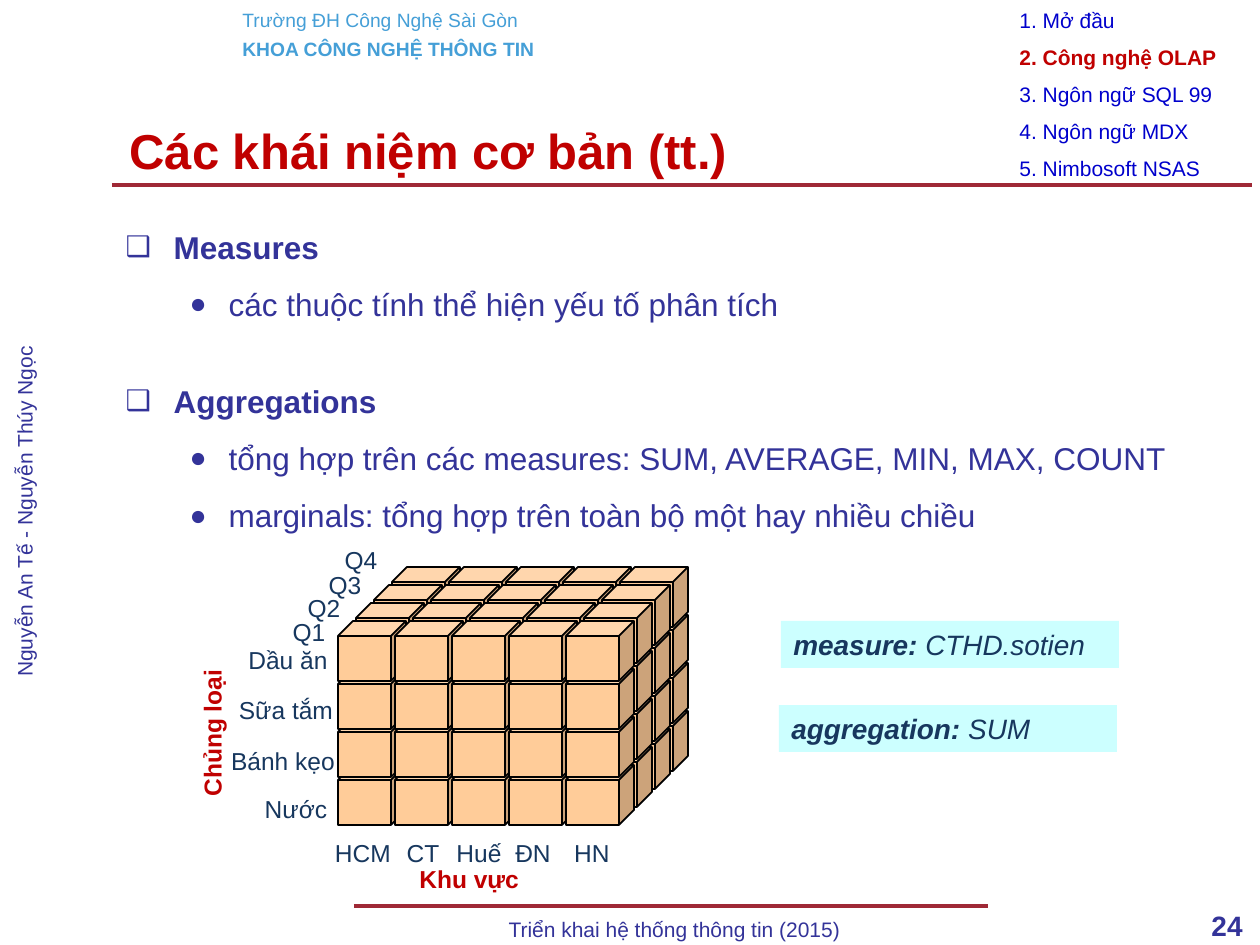
from dataclasses import dataclass

import lxml.etree
import pptx
import pptx.dml.color
import pptx.enum.shapes
import pptx.enum.text
import pptx.oxml.ns
import pptx.util

Align = pptx.enum.text.PP_ALIGN
Shape = pptx.enum.shapes.MSO_SHAPE
qn = pptx.oxml.ns.qn
EMU_PER_PX = 914400 // 126


@dataclass(frozen=True)
class Theme:
    font: str = "Arial"
    rule: str = "9F2936"
    school: str = "459FD7"
    body: str = "333399"
    accent: str = "C00000"
    agenda: str = "0000CC"
    label: str = "17375E"
    note: str = "CCFFFF"
    cube: str = "FFCC99"
    edge: str = "000000"
    header_size: int = 11
    small_size: int = 12
    label_size: int = 14
    note_size: int = 16
    body_size: int = 18
    title_size: int = 28


THEME = Theme()


@dataclass(frozen=True)
class Span:
    text: str
    size: int
    color: str
    bold: bool = False
    italic: bool = False


@dataclass(frozen=True)
class Box:
    left: int
    top: int
    width: int
    height: int

    def emu(self) -> tuple:
        return tuple(px(v) for v in (self.left, self.top, self.width, self.height))


def px(value: int) -> int:
    return pptx.util.Emu(value * EMU_PER_PX)


def rgb(code: str):
    return pptx.dml.color.RGBColor.from_string(code)


def set_all(target, values: dict) -> None:
    for name, value in values.items():
        setattr(target, name, value)


def write(para, spans: list, **layout) -> None:
    set_all(para, layout)
    for span in spans:
        run = para.add_run()
        run.text = span.text
        set_all(run.font, {"name": THEME.font, "size": pptx.util.Pt(span.size),
                           "bold": span.bold, "italic": span.italic})
        run.font.color.rgb = rgb(span.color)


def add_text(page, box: Box, *spans: Span, align=Align.LEFT, wrap=True, turn=0):
    shape = page.shapes.add_textbox(*box.emu())
    shape.rotation = turn
    shape.text_frame.word_wrap = wrap
    write(shape.text_frame.paragraphs[0], spans, alignment=align)
    return shape


def add_rule(page, left: int, right: int, y: int) -> None:
    line = page.shapes.add_connector(pptx.enum.shapes.MSO_CONNECTOR.STRAIGHT,
                                     px(left), px(y), px(right), px(y))
    line.line.color.rgb = rgb(THEME.rule)
    line.line.width = pptx.util.Pt(2)
    lxml.etree.SubElement(line._element.spPr, qn("a:effectLst"))


def add_solid(page, kind, box: Box, fill: str):
    shape = page.shapes.add_shape(kind, *box.emu())
    shape.shadow.inherit = False
    shape.fill.solid()
    shape.fill.fore_color.rgb = rgb(fill)
    shape.line.fill.background()
    return shape


def add_cube(page, box: Box) -> None:
    cube = add_solid(page, Shape.CUBE, box, THEME.cube)
    cube.line.color.rgb = rgb(THEME.edge)
    cube.line.width = pptx.util.Pt(1)


def add_note(page, box: Box, name: str, value: str) -> None:
    frame = add_solid(page, Shape.RECTANGLE, box, THEME.note).text_frame
    frame.word_wrap = True
    write(frame.paragraphs[0],
          [Span(name, THEME.note_size, THEME.label, True, True),
           Span(value, THEME.note_size, THEME.label, False, True)],
          alignment=Align.LEFT)


def set_bullet(para, char: str, margin: int, hang: int) -> None:
    props = para._p.get_or_add_pPr()
    props.set("marL", str(px(margin)))
    props.set("indent", str(-px(hang)))
    color = lxml.etree.SubElement(props, qn("a:buClr"))
    lxml.etree.SubElement(color, qn("a:srgbClr"), val=THEME.body)
    lxml.etree.SubElement(props, qn("a:buSzPct"), val="90000")
    lxml.etree.SubElement(props, qn("a:buFont"), typeface=THEME.font)
    lxml.etree.SubElement(props, qn("a:buChar"), char=char)


def place(holder, box: Box, anchor):
    set_all(holder, dict(zip(("left", "top", "width", "height"), box.emu())))
    set_all(holder.text_frame, {"vertical_anchor": anchor, "word_wrap": True,
                                "auto_size": pptx.enum.text.MSO_AUTO_SIZE.NONE})
    return holder.text_frame


def add_frame(page) -> None:
    """Rules, header, author, footer and page number."""
    add_rule(page, 354, 988, 906)
    add_rule(page, 112, 1252, 185)
    header = add_text(page, Box(230, 2, 353, 66),
                      Span("Trường ĐH Công Nghệ Sài Gòn", THEME.header_size, THEME.school))
    write(header.text_frame.add_paragraph(),
          [Span("KHOA CÔNG NGHỆ THÔNG TIN", THEME.header_size, THEME.school, True)],
          space_before=pptx.util.Pt(3.4))
    add_text(page, Box(-142, 480, 358, 63),
             Span("Nguyễn An Tế - Nguyễn Thúy Ngọc", THEME.small_size, THEME.body),
             align=Align.CENTER, turn=270)
    add_text(page, Box(362, 910, 625, 33),
             Span("Triển khai hệ thống thông tin (2015)", THEME.small_size, THEME.body),
             align=Align.CENTER)
    add_text(page, Box(1126, 902, 129, 37),
             Span("24", THEME.note_size, THEME.body, True), align=Align.RIGHT)


def add_agenda(page, current: int) -> None:
    topics = ["Mở đầu", "Công nghệ OLAP", "Ngôn ngữ SQL 99", "Ngôn ngữ MDX", "Nimbosoft NSAS"]
    for number, topic in enumerate(topics, 1):
        active = number == current
        add_text(page, Box(1007, 1 + 37 * (number - 1), 248, 37),
                 Span(f"{number}. {topic}", THEME.small_size,
                      THEME.accent if active else THEME.agenda, active), wrap=False)


def add_content(page) -> None:
    """Title and two-level list."""
    middle, top = pptx.enum.text.MSO_ANCHOR.MIDDLE, pptx.enum.text.MSO_ANCHOR.TOP
    title = place(page.shapes.title, Box(117, 105, 883, 89), middle)
    write(title.paragraphs[0],
          [Span("Các khái niệm cơ bản (tt.)", THEME.title_size, THEME.accent, True)],
          alignment=Align.LEFT)
    body = place(page.placeholders[1], Box(113, 212, 1131, 678), top)
    items = [(0, "Measures"), (1, "các thuộc tính thể hiện yếu tố phân tích"),
             (0, "Aggregations"),
             (1, "tổng hợp trên các measures: SUM, AVERAGE, MIN, MAX, COUNT"),
             (1, "marginals: tổng hợp trên toàn bộ một hay nhiều chiều")]
    styles = [(1.25, 28.1, ("❑", 48, 48)), (1.0, 11.2, ("●", 103, 39))]
    for index, (level, text) in enumerate(items):
        para = body.add_paragraph() if index else body.paragraphs[0]
        spacing, before, bullet = styles[level]
        write(para, [Span(text, THEME.body_size, THEME.body, level == 0)], level=level,
              line_spacing=spacing, space_before=pptx.util.Pt(before))
        set_bullet(para, *bullet)


def add_data_cube(page) -> None:
    """Visible cells from back to front, then the axis labels."""
    columns, rows, layers = 5, 4, 4
    for depth in reversed(range(layers)):
        for row in reversed(range(rows)):
            for column in range(columns):
                if depth == 0 or row == 0 or column == columns - 1:
                    add_cube(page, Box(338 + 57 * column + 18 * depth,
                                       621 + 48 * row - 18 * depth, 68, 60))
    # Each label is centred on its own point, in a box with room to spare.
    labels = [("Q1", 309, 611), ("Q2", 324, 587), ("Q3", 345, 564), ("Q4", 361, 539),
              ("Dầu ăn", 288, 639), ("Sữa tắm", 286, 689), ("Bánh kẹo", 283, 740),
              ("Nước", 296, 788), ("HCM", 363, 832), ("CT", 423, 832), ("Huế", 479, 832),
              ("ĐN", 533, 832), ("HN", 592, 832)]
    half_width = 75
    for text, center, top in labels:
        add_text(page, Box(center - half_width, top, 2 * half_width, 43),
                 Span(text, THEME.label_size, THEME.label),
                 align=Align.CENTER, wrap=False)
    add_text(page, Box(136, 712, 152, 42),
             Span("Chủng loại", THEME.label_size, THEME.accent, True), wrap=False, turn=270)
    add_text(page, Box(407, 858, 126, 42),
             Span("Khu vực", THEME.label_size, THEME.accent, True))


def main() -> None:
    deck = pptx.Presentation()
    set_all(deck, {"slide_width": px(1260), "slide_height": px(945)})
    page = deck.slides.add_slide(deck.slide_layouts[1])
    add_frame(page)
    add_content(page)
    add_agenda(page, current=2)
    add_data_cube(page)
    add_note(page, Box(781, 621, 338, 47), "measure: ", "CTHD.sotien")
    add_note(page, Box(779, 705, 338, 47), "aggregation: ", "SUM")
    deck.save("out.pptx")


if __name__ == "__main__":
    main()
